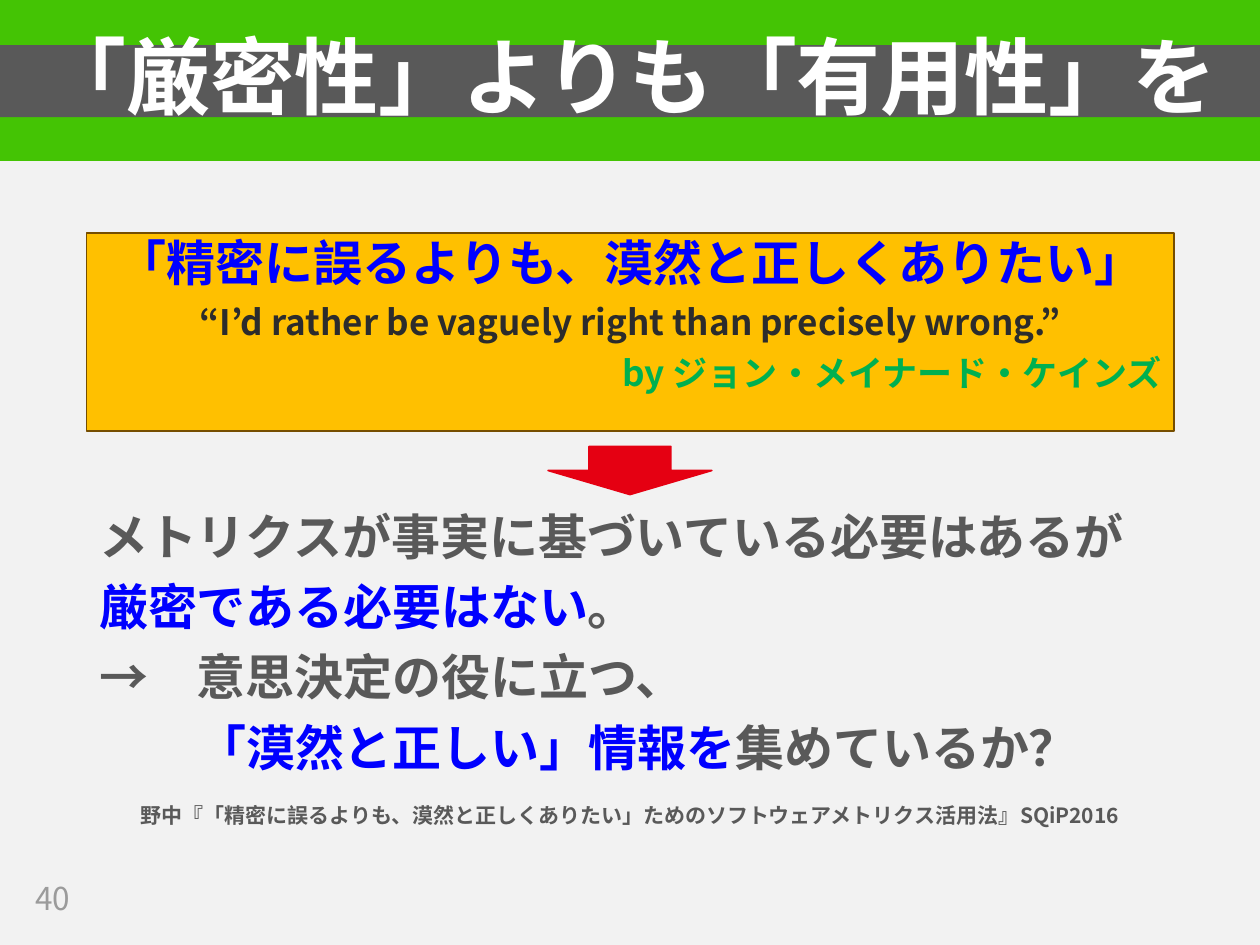
from dataclasses import dataclass
from typing import Optional

from lxml.etree import SubElement
from pptx import Presentation
from pptx.dml.color import RGBColor as Rgb
from pptx.enum.shapes import MSO_SHAPE as Preset
from pptx.enum.text import MSO_ANCHOR as Anchor, MSO_AUTO_SIZE as AutoSize, PP_ALIGN as Align
from pptx.oxml.ns import qn
from pptx.util import Cm, Pt


@dataclass(frozen=True)
class Theme:
    font: str = "Noto Sans CJK JP"
    background: str = "F2F2F2"
    band: str = "44C404"
    text: str = "595959"
    white: str = "FFFFFF"
    accent: str = "0000FF"
    quote_fill: str = "FFC000"
    quote_edge: str = "764E00"
    quote_english: str = "2C2C2C"
    speaker: str = "00B050"
    arrow: str = "E50012"
    page: str = "9B9B9B"
    title_size: int = 48
    main_size: int = 28
    english_size: int = 20
    page_size: int = 18
    source_size: int = 12


THEME = Theme()


@dataclass(frozen=True)
class Box:
    left: float
    top: float
    width: float
    height: float

    def lengths(self) -> tuple:
        return Cm(self.left), Cm(self.top), Cm(self.width), Cm(self.height)


@dataclass(frozen=True)
class Span:
    text: str
    color: Optional[str] = None


@dataclass(frozen=True)
class Line:
    spans: tuple
    size: int = THEME.main_size
    color: str = THEME.text
    align: Align = Align.LEFT
    bold: bool = True
    indent_chars: int = 0


def paint(shape, fill: str, edge: str, edge_width: float = 1) -> None:
    shape.fill.solid()
    shape.fill.fore_color.rgb = Rgb.from_string(fill)
    shape.line.color.rgb = Rgb.from_string(edge)
    shape.line.width = Pt(edge_width)


def add_preset(slide, preset: Preset, box: Box, fill: str, edge: str, edge_width: float = 1):
    shape = slide.shapes.add_shape(preset, *box.lengths())
    shape.shadow.inherit = False
    paint(shape, fill, edge, edge_width)
    return shape


def write(shape, lines: list[Line], space_before: float = 0, anchor: Anchor = Anchor.MIDDLE) -> None:
    frame = shape.text_frame
    frame.word_wrap = True
    frame.auto_size = AutoSize.NONE
    frame.vertical_anchor = anchor
    for index, line in enumerate(lines):
        paragraph = frame.add_paragraph() if index else frame.paragraphs[0]
        paragraph.alignment = line.align
        paragraph.line_spacing = 0.9
        paragraph.space_before = Pt(space_before if index else 0)
        properties = paragraph._p.get_or_add_pPr()
        properties.set("marL", str(Pt(line.indent_chars * line.size)))
        properties.set("indent", "0")
        font = paragraph.font
        font.size = Pt(line.size)
        font.bold = line.bold
        font.color.rgb = Rgb.from_string(line.color)
        font.name = THEME.font
        SubElement(properties.find(qn("a:defRPr")), qn("a:ea"), typeface=THEME.font)
        for span in line.spans:
            run = paragraph.add_run()
            run.text = span.text
            if span.color:
                run.font.color.rgb = Rgb.from_string(span.color)


def add_text(slide, box: Box, lines: list[Line], space_before: float = 0) -> None:
    write(slide.shapes.add_textbox(*box.lengths()), lines, space_before)


def add_title(slide) -> None:
    band = add_preset(slide, Preset.RECTANGLE, Box(0, -0.03, 25.4, 3.25), THEME.band, THEME.band)
    title = slide.shapes.title
    title._element.addprevious(band._element)
    title.left, title.top, title.width, title.height = Box(0, 0.91, 25.4, 1.45).lengths()
    title.fill.solid()
    title.fill.fore_color.rgb = Rgb.from_string(THEME.text)
    write(title, [Line((Span("「厳密性」よりも「有用性」を"),), THEME.title_size, THEME.white, Align.CENTER)])


def add_quote(slide) -> None:
    quote = add_preset(slide, Preset.RECTANGLE, Box(1.75, 4.7, 21.92, 3.99),
                       THEME.quote_fill, THEME.quote_edge, 0.75)
    write(quote, [
        Line((Span("「精密に誤るよりも、漠然と正しくありたい」"),), color=THEME.accent, align=Align.CENTER),
        Line((Span("“I’d rather be vaguely right than precisely wrong.”"),),
             THEME.english_size, THEME.quote_english, Align.CENTER),
        Line((Span("by ジョン・メイナード・ケインズ"),), THEME.english_size, THEME.speaker, Align.RIGHT),
    ], 7.5, Anchor.TOP)


def add_argument(slide) -> None:
    add_text(slide, Box(1.75, 10, 21.9, 6), [
        Line((Span("メトリクスが事実に基づいている必要はあるが"),)),
        Line((Span("厳密である必要はない", THEME.accent), Span("。"))),
        Line((Span("→　意思決定の役に立つ、"),)),
        Line((Span("「漠然と正しい」情報を", THEME.accent), Span("集めているか？")), indent_chars=2),
    ], 10)


def main() -> None:
    deck = Presentation()
    deck.slide_width, deck.slide_height = Cm(25.4), Cm(19.05)
    slide = deck.slides.add_slide(deck.slide_layouts[5])
    slide.background.fill.solid()
    slide.background.fill.fore_color.rgb = Rgb.from_string(THEME.background)

    add_title(slide)
    add_text(slide, Box(0.46, 17.65, 2, 1),
             [Line((Span("40"),), THEME.page_size, THEME.page, bold=False)])
    add_quote(slide)
    add_argument(slide)
    add_preset(slide, Preset.DOWN_ARROW, Box(11.05, 9, 3.3, 0.97), THEME.arrow, THEME.arrow)
    source = "野中『「精密に誤るよりも、漠然と正しくありたい」ためのソフトウェアメトリクス活用法』SQiP2016"
    add_text(slide, Box(1.75, 15.47, 21.9, 2),
             [Line((Span(source),), THEME.source_size, align=Align.CENTER)])
    deck.save("out.pptx")


if __name__ == "__main__":
    main()
